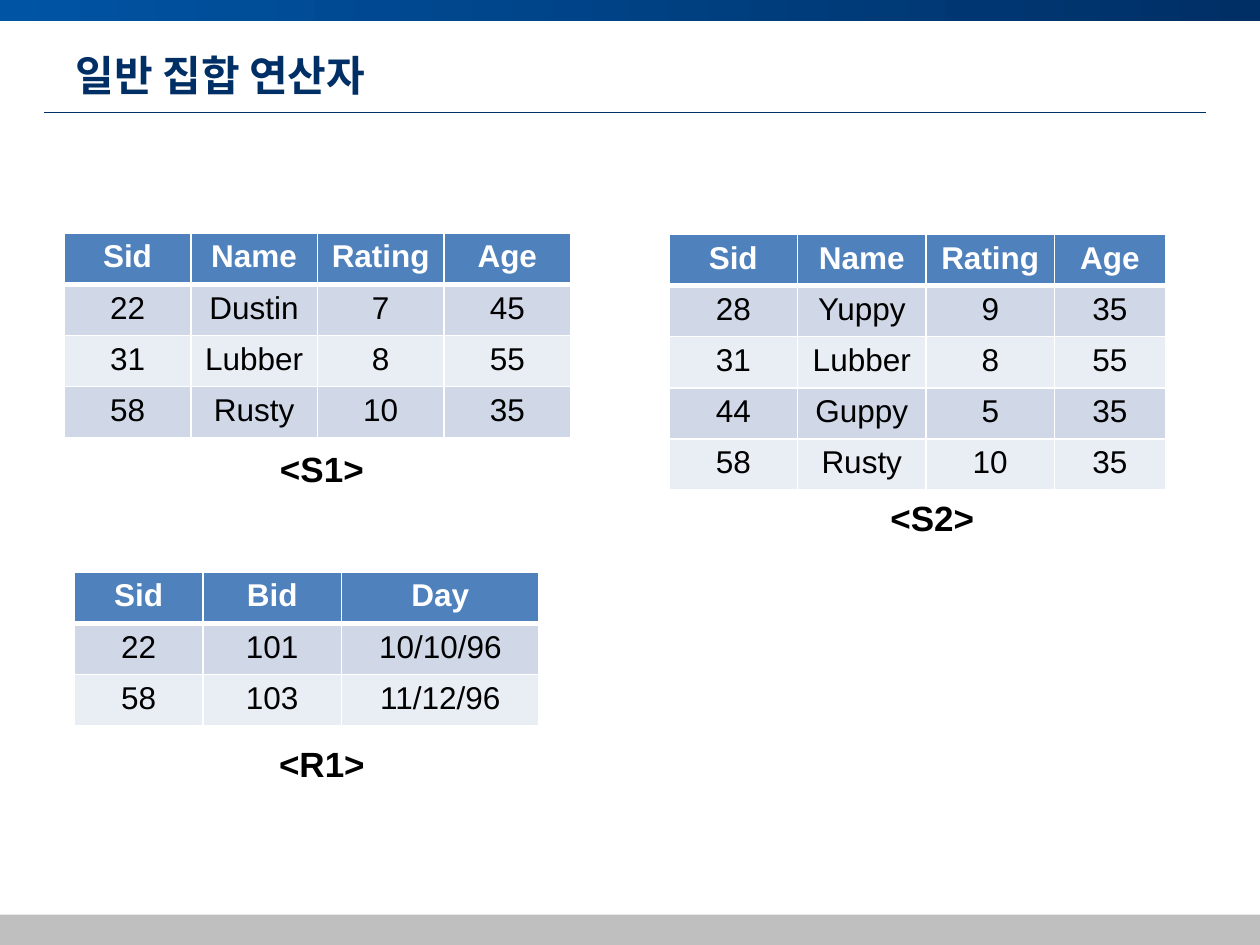
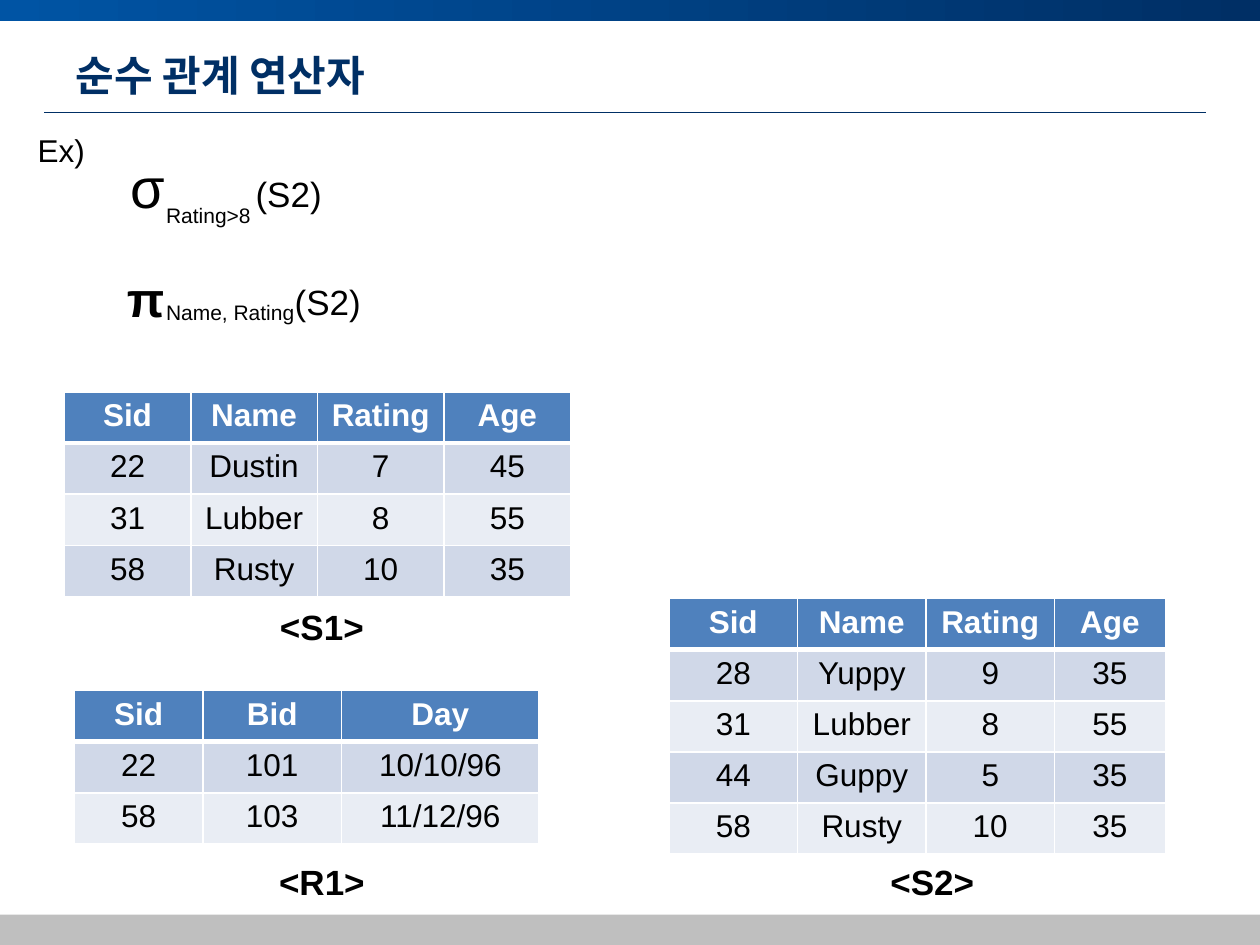
from dataclasses import dataclass

from lxml import etree
from pptx import Presentation
from pptx.dml.color import RGBColor
from pptx.enum.shapes import MSO_CONNECTOR, MSO_SHAPE
from pptx.enum.text import MSO_ANCHOR, PP_ALIGN
from pptx.oxml.ns import qn
from pptx.util import Inches, Pt

NAVY = RGBColor(0x00, 0x2F, 0x65)
BLUE = RGBColor(0x00, 0x54, 0xA4)
GREY = RGBColor(0xBF, 0xBF, 0xBF)
HEADER = RGBColor(0x4F, 0x81, 0xBD)
STRIPES = (RGBColor(0xD0, 0xD8, 0xE8), RGBColor(0xE9, 0xED, 0xF4))
BLACK = RGBColor(0, 0, 0)
WHITE = RGBColor(0xFF, 0xFF, 0xFF)
BODY_FONT = "Arial"
TITLE_FONT = "Noto Sans CJK KR"
ROW_HEIGHT = 0.406


@dataclass
class Relation:
    """A named database relation with its column widths and caption place."""
    name: str
    left: float
    widths: tuple
    rows: list
    caption_left: float
    caption_width: float
    caption_drop: float


S1 = Relation("S1", 0.51, (1.005,) * 4,
              [("Sid", "Name", "Rating", "Age"),
               ("22", "Dustin", "7", "45"),
               ("31", "Lubber", "8", "55"),
               ("58", "Rusty", "10", "35")], 1.77, 1.57, 1.65)
S2 = Relation("S2", 5.31, (1.02, 1.02, 1.02, 0.88),
              [("Sid", "Name", "Rating", "Age"),
               ("28", "Yuppy", "9", "35"),
               ("31", "Lubber", "8", "55"),
               ("44", "Guppy", "5", "35"),
               ("58", "Rusty", "10", "35")], 6.65, 1.5, 2.03)
R1 = Relation("R1", 0.59, (1.02, 1.1, 1.57),
              [("Sid", "Bid", "Day"),
               ("22", "101", "10/10/96"),
               ("58", "103", "11/12/96")], 1.61, 1.89, 1.3)


def write(frame, text, size, color=BLACK, bold=False, align=PP_ALIGN.LEFT, font=BODY_FONT):
    """Put one formatted run into a text frame."""
    paragraph = frame.paragraphs[0]
    paragraph.alignment = align
    run = paragraph.add_run()
    run.text = text
    run.font.size = Pt(size)
    run.font.bold = bold
    run.font.name = font
    run.font.color.rgb = color
    etree.SubElement(run.font._element, qn("a:ea"), typeface=font)


def add_text(shapes, box, text, size, **style):
    """Add a wrapping text box at the given box in inches."""
    frame = shapes.add_textbox(*map(Inches, box)).text_frame
    frame.word_wrap = True
    write(frame, text, size, **style)


def add_band(slide, box):
    """Add a borderless rectangle across the slide."""
    band = slide.shapes.add_shape(MSO_SHAPE.RECTANGLE, *map(Inches, box))
    band.shadow.inherit = False
    band.line.fill.background()
    return band


def dress_layout(layout, slide):
    """Build the shared bands and title rule and move them to the layout."""
    top = add_band(slide, (0, 0, 10, 0.17))
    top.fill.gradient()
    top.fill.gradient_angle = 0
    for stop, color, position in zip(top.fill.gradient_stops, (BLUE, NAVY), (0, 1)):
        stop.color.rgb = color
        stop.position = position
    footer = add_band(slide, (0, 7.26, 10, 0.25))
    footer.fill.solid()
    footer.fill.fore_color.rgb = GREY
    rule = slide.shapes.add_connector(
        MSO_CONNECTOR.STRAIGHT, *map(Inches, (0.35, 0.89, 9.57, 0.89)))
    rule.line.color.rgb = NAVY
    rule.line.width = Pt(0.5)
    etree.SubElement(rule.element.spPr, qn("a:effectLst"))
    for shape in (top, rule, footer):
        layout.shapes.element.append(shape.element)


def set_title(slide, text):
    """Place and format the slide title."""
    title = slide.shapes.title
    title.left, title.top, title.width, title.height = map(Inches, (0.5, 0.3, 9, 0.58))
    title.text_frame.vertical_anchor = MSO_ANCHOR.MIDDLE
    write(title.text_frame, text, 24, NAVY, True, font=TITLE_FONT)


def set_borders(cell, top, bottom):
    """Give a cell white borders with the given top and bottom widths."""
    properties = cell._tc.get_or_add_tcPr()
    for index, (side, width) in enumerate(zip("LRTB", (1, 1, top, bottom))):
        line = etree.Element(qn(f"a:ln{side}"), w=str(Pt(width)))
        fill = etree.SubElement(line, qn("a:solidFill"))
        etree.SubElement(fill, qn("a:srgbClr"), val=str(WHITE))
        properties.insert(index, line)


def add_relation(slide, relation, top):
    """Draw a relation as a striped table with its caption underneath."""
    rows, widths = relation.rows, relation.widths
    box = relation.left, top, sum(widths), ROW_HEIGHT * len(rows)
    table = slide.shapes.add_table(len(rows), len(widths), *map(Inches, box)).table
    for column, width in zip(table.columns, widths):
        column.width = Inches(width)
    for r, values in enumerate(rows):
        table.rows[r].height = Inches(ROW_HEIGHT)
        is_header = r == 0
        for c, value in enumerate(values):
            cell = table.cell(r, c)
            cell.fill.solid()
            cell.fill.fore_color.rgb = HEADER if is_header else STRIPES[(r - 1) % 2]
            set_borders(cell, 3 if r == 1 else 1, 3 if is_header else 1)
            write(cell.text_frame, value, 18, WHITE if is_header else BLACK,
                  is_header, PP_ALIGN.CENTER)
    caption_box = relation.caption_left, top + relation.caption_drop, relation.caption_width, 0.44
    add_text(slide.shapes, caption_box, f"<{relation.name}>", 20,
             bold=True, align=PP_ALIGN.CENTER)


def add_expression(slide, symbol, condition, operand):
    """Group an operator symbol, its subscript and its operand."""
    shapes = slide.shapes.add_group_shape().shapes
    box, text, size, bold = symbol
    add_text(shapes, box, text, size, bold=bold)
    add_text(shapes, *condition, 12)
    add_text(shapes, *operand, 20)


def add_relations_slide(deck, layout, title, placements):
    """Add a titled slide with relations at the given tops."""
    slide = deck.slides.add_slide(layout)
    set_title(slide, title)
    for relation, top in placements:
        add_relation(slide, relation, top)
    return slide


def main():
    """Build and save the deck."""
    deck = Presentation()
    deck.slide_width, deck.slide_height = Inches(10), Inches(7.5)
    layout = deck.slide_layouts[5]
    set_slide = add_relations_slide(deck, layout, "일반 집합 연산자",
                                    ((S2, 1.86), (S1, 1.85), (R1, 4.54)))
    dress_layout(layout, set_slide)
    relational_slide = add_relations_slide(deck, layout, "순수 관계 연산자",
                                           ((S2, 4.75), (S1, 3.11), (R1, 5.48)))
    add_expression(relational_slide, ((0.94, 1.16, 0.6, 0.64), "σ", 32, False),
                   ((1.22, 1.56, 0.95, 0.3), "Rating>8"),
                   ((1.93, 1.32, 1.22, 0.44), "(S2)"))
    add_text(relational_slide.shapes, (0.2, 0.99, 0.79, 0.4), "Ex)", 18)
    add_expression(relational_slide, ((0.91, 2.08, 0.47, 0.57), "π", 28, True),
                   ((1.22, 2.33, 1.73, 0.3), "Name, Rating"),
                   ((2.24, 2.18, 0.79, 0.44), "(S2)"))
    deck.save("out.pptx")


main()
